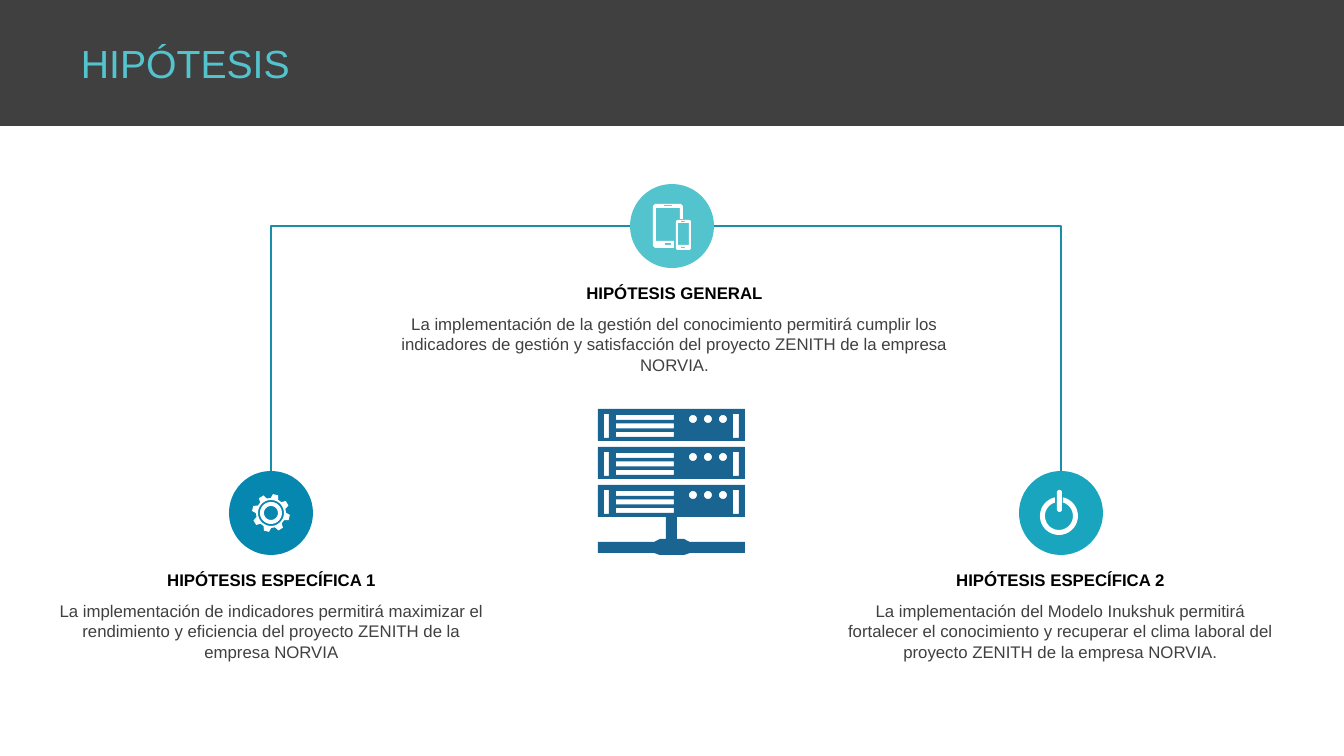
from math import asin, cos, pi, radians, sin

from lxml import etree
from pptx import Presentation
from pptx.dml.color import RGBColor
from pptx.enum.shapes import MSO_CONNECTOR as Connector, MSO_SHAPE as Preset
from pptx.enum.text import PP_ALIGN as Align
from pptx.oxml.ns import qn
from pptx.util import Pt

# Content
TITLE = "HIPÓTESIS"
WHITE, DARK, LINE, SERVER = "FFFFFF", "404040", "1A8EA9", "196491"
GENERAL = dict(
    heading="HIPÓTESIS GENERAL",
    body="La implementación de la gestión del conocimiento permitirá cumplir los "
         "indicadores de gestión y satisfacción del proyecto ZENITH de la empresa NORVIA.",
    text_box=(387, 278, 575), circle=(630, 184), color="53C3CD")
SPECIFIC_1 = dict(
    heading="HIPÓTESIS ESPECÍFICA 1",
    body="La implementación de indicadores permitirá maximizar el rendimiento y "
         "eficiencia del proyecto ZENITH de la empresa NORVIA",
    text_box=(47, 565, 449), circle=(229, 471), color="0587AF")
SPECIFIC_2 = dict(
    heading="HIPÓTESIS ESPECÍFICA 2",
    body="La implementación del Modelo Inukshuk permitirá fortalecer el conocimiento "
         "y recuperar el clima laboral del proyecto ZENITH de la empresa NORVIA.",
    text_box=(836, 565, 449), circle=(1019, 471), color="19A5BE")
DIAMETER = 84

PX = 914400 / 100.8


def px(value):
    return round(value * PX)


def rgb(color):
    return RGBColor.from_string(color)


presentation = Presentation()
presentation.slide_width, presentation.slide_height = px(1344), px(756)
slide = presentation.slides.add_slide(presentation.slide_layouts[6])


# Drawing helpers
def paint(shape, color):
    shape.shadow.inherit = False
    shape.fill.solid()
    shape.fill.fore_color.rgb = rgb(color)
    shape.line.fill.background()


def add_preset(preset, color, *bounds):
    shape = slide.shapes.add_shape(preset, *map(px, bounds))
    paint(shape, color)


def add_text(text, bounds, size, color, align=Align.LEFT, bold=False):
    frame = slide.shapes.add_textbox(*map(px, bounds)).text_frame
    frame.word_wrap = True
    paragraph = frame.paragraphs[0]
    paragraph.text = text
    paragraph.alignment = align
    font = paragraph.font
    font.name, font.size, font.bold = "Arial", Pt(size), bold
    font.color.rgb = rgb(color)


def add_outline(contours, color):
    contours = [[(px(x), px(y)) for x, y in contour] for contour in contours]
    builder = slide.shapes.build_freeform(*contours[0][0], scale=1.0)
    for index, contour in enumerate(contours):
        if index:
            builder.move_to(*contour[0])
        builder.add_line_segments(contour[1:], close=True)
    paint(builder.convert_to_shape(), color)


# Contours, as lists of points
def polar(x, y, radius, angle):
    return x + radius * cos(angle), y + radius * sin(angle)


def arc(x, y, radius, start, end, steps=48):
    return [polar(x, y, radius, start + (end - start) * i / steps)
            for i in range(steps + 1)]


def disc(x, y, radius):
    return arc(x, y, radius, 0, 2 * pi)[:-1]


def box(x, y, width, height):
    return [(x, y), (x + width, y), (x + width, y + height), (x, y + height)]


def rounded(x, y, width, height, radius):
    corners = [(x + width - radius, y + height - radius), (x + radius, y + height - radius),
               (x + radius, y + radius), (x + width - radius, y + radius)]
    return [point for quarter, corner in enumerate(corners)
            for point in arc(*corner, radius, quarter * pi / 2, (quarter + 1) * pi / 2, 8)]


def add_devices():
    tablet = [(655, 204), (681, 204), (683, 206), (683, 219), (680, 219), (680, 208),
              (656, 208), (656, 241), (674, 241), (674, 248), (655, 248), (653, 246),
              (653, 206)]
    add_outline([tablet, box(664, 205, 8, 1), box(665, 243, 6, 2),
                 rounded(676, 220, 15, 30, 2), box(678, 223, 11, 22),
                 box(681, 221, 4, 1), box(681, 247, 4, 1)], WHITE)


def add_gear(x=271, y=513):
    tooth = [(15, -15), (19, -8), (19, 8), (15, 15)]
    teeth = [polar(x, y, radius, radians(14 + 45 * k - 90 + angle))
             for k in range(8) for radius, angle in tooth]
    add_outline([teeth] + [disc(x, y, radius) for radius in (13, 11, 7)], WHITE)


def add_power(x=1059, y=516, outer=19, inner=14, gap=4):
    wide, narrow = asin(gap / inner), asin(gap / outer)
    top = -pi / 2
    ring = (arc(x, y, outer, top + narrow, top + 2 * pi - narrow)
            + arc(x, y, inner, top + 2 * pi - wide, top + wide))
    add_outline([ring, rounded(x - 2, 490, 5, 22, 2.5)], WHITE)


def add_server(left=598, top=409, width=147, height=32, pitch=38):
    contours = []
    for y in range(top, top + 3 * pitch, pitch):
        contours += [box(left, y, width, height),
                     box(left + 6, y + 5, 5, 24), box(left + 135, y + 5, 6, 24)]
        for i in range(3):
            contours += [box(left + 18, y + 6 + 8.5 * i, 58, 5),
                         disc(left + 95 + 15 * i, y + 10, 4)]
    stand = [(666, 517), (677, 517), (677, 539), (684, 539), (690, 542), (745, 542),
             (745, 553), (690, 553), (684, 555), (660, 555), (654, 553), (598, 553),
             (598, 542), (654, 542), (660, 539), (666, 539)]
    add_outline(contours + [stand], SERVER)


def add_elbow(*ends):
    connector = slide.shapes.add_connector(Connector.ELBOW, *map(px, ends))
    connector.line.color.rgb = rgb(LINE)
    connector.line.width = Pt(1.75)
    properties = connector._element.spPr
    properties.find(qn("a:prstGeom")).set("prst", "bentConnector2")
    etree.SubElement(properties, qn("a:effectLst"))


# Hypotheses: circle, heading and body
for hypothesis in (GENERAL, SPECIFIC_1, SPECIFIC_2):
    left, top, width = hypothesis["text_box"]
    add_preset(Preset.OVAL, hypothesis["color"], *hypothesis["circle"], DIAMETER, DIAMETER)
    add_text(hypothesis["heading"], (left, top, width, 30), 12, "000000", Align.CENTER, True)
    add_text(hypothesis["body"], (left, top + 31, width, 76), 12, DARK, Align.CENTER)

# Elbows from the general circle down to the specific ones
general_x, general_y = GENERAL["circle"]
for hypothesis, start_x in ((SPECIFIC_1, general_x), (SPECIFIC_2, general_x + DIAMETER)):
    x, y = hypothesis["circle"]
    add_elbow(start_x, general_y + DIAMETER // 2, x + DIAMETER // 2, y)

# Icons
add_devices()
add_gear()
add_power()
add_server()

# Title band
add_preset(Preset.RECTANGLE, DARK, 0, 0, 1344, 126)
add_text(TITLE, (71, 34, 1231, 57), 28, "53C3CD")

presentation.save("out.pptx")
